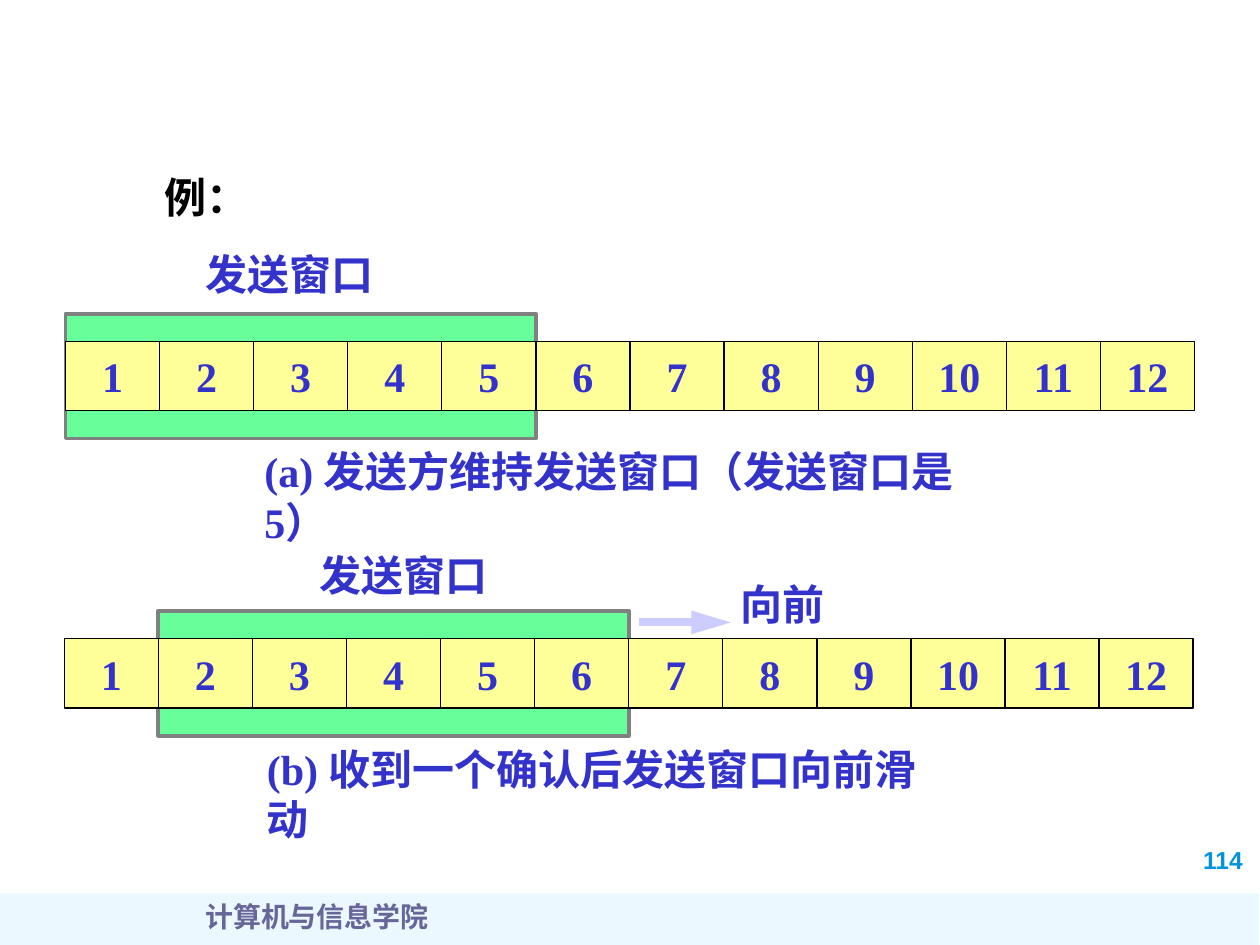
from lxml import etree
from pptx import Presentation
from pptx.dml.color import RGBColor
from pptx.enum.shapes import MSO_CONNECTOR, MSO_SHAPE
from pptx.enum.text import MSO_ANCHOR, MSO_AUTO_SIZE, PP_ALIGN
from pptx.oxml.ns import qn
from pptx.util import Inches, Pt

RECTANGLE = MSO_SHAPE.RECTANGLE
STRAIGHT = MSO_CONNECTOR.STRAIGHT
MIDDLE = MSO_ANCHOR.MIDDLE
TOP = MSO_ANCHOR.TOP
GROW = MSO_AUTO_SIZE.SHAPE_TO_FIT_TEXT
FIXED = MSO_AUTO_SIZE.NONE
LEFT = PP_ALIGN.LEFT
CENTER = PP_ALIGN.CENTER

SERIF = "Times New Roman"
BLUE = "3333CC"
BLACK = "000000"
FRAME_COUNT = 12
FRAME_WIDTH = 8.96 / FRAME_COUNT
FRAME_HEIGHT = 0.55
WINDOW_FRAMES = 5
WINDOW_MARGIN = 0.22


def set_color(color_format, value):
    color_format.rgb = RGBColor.from_string(value)


def add_rectangle(slide, left, top, width, height, fill, line=None, line_width=0.75):
    shape = slide.shapes.add_shape(
        RECTANGLE, Inches(left), Inches(top), Inches(width), Inches(height))
    shape.shadow.inherit = False
    shape.fill.solid()
    set_color(shape.fill.fore_color, fill)
    if line:
        set_color(shape.line.color, line)
        shape.line.width = Pt(line_width)
    else:
        shape.line.fill.background()
    return shape


def add_text(slide, text, left, top, width, height, size=24, name=SERIF,
             color=BLUE, alignment=LEFT, anchor=TOP, auto_size=GROW):
    shape = slide.shapes.add_textbox(
        Inches(left), Inches(top), Inches(width), Inches(height))
    frame_format = {"word_wrap": True, "auto_size": auto_size, "vertical_anchor": anchor}
    for attribute, value in frame_format.items():
        setattr(shape.text_frame, attribute, value)
    paragraph = shape.text_frame.paragraphs[0]
    paragraph.text = text
    paragraph.alignment = alignment
    font = paragraph.runs[0].font
    for attribute, value in {"size": Pt(size), "name": name, "bold": True}.items():
        setattr(font, attribute, value)
    set_color(font.color, color)


def add_line(slide, start, end, color=BLACK, width=0.75):
    connector = slide.shapes.add_connector(
        STRAIGHT, *(Inches(value) for value in (*start, *end)))
    set_color(connector.line.color, color)
    connector.line.width = Pt(width)
    etree.SubElement(connector._element.spPr, qn("a:effectLst"))
    return connector


def add_arrow(slide, start, end, color, width):
    connector = add_line(slide, start, end, color, width)
    outline = connector.line._get_or_add_ln()
    etree.SubElement(outline, qn("a:tailEnd"), type="triangle", w="med", len="lg")


def add_footer(slide):
    bar = add_rectangle(slide, -0.01, 7.09, 10, 0.44, "A7E2FF")
    fill_color = bar._element.spPr.find(qn("a:solidFill"))[0]
    etree.SubElement(fill_color, qn("a:alpha"), val="21000")
    add_text(slide, "114", 9.45, 6.66, 0.59, 0.33, size=14, name="Arial", color="0094DE")
    add_text(slide, "计算机与信息学院", 0.27, 7.09, 4.49, 0.5, size=16,
             color="666699", alignment=CENTER, auto_size=FIXED)


def add_frame_sequence(slide, left, top, window_start):
    add_rectangle(slide, left + window_start * FRAME_WIDTH, top - WINDOW_MARGIN,
                  WINDOW_FRAMES * FRAME_WIDTH, FRAME_HEIGHT + 2 * WINDOW_MARGIN,
                  "66FF99", "808080", 2.25)
    add_rectangle(slide, left, top, FRAME_COUNT * FRAME_WIDTH, FRAME_HEIGHT,
                  "FFFF99", BLACK)
    for index in range(FRAME_COUNT):
        frame_left = left + index * FRAME_WIDTH
        add_text(slide, str(index + 1), frame_left, top, FRAME_WIDTH, FRAME_HEIGHT,
                 alignment=CENTER, anchor=MIDDLE, auto_size=FIXED)
        if index:
            add_line(slide, (frame_left, top), (frame_left, top + FRAME_HEIGHT))


def main():
    presentation = Presentation()
    presentation.slide_width = Inches(10)
    presentation.slide_height = Inches(7.5)
    slide = presentation.slides.add_slide(presentation.slide_layouts[6])

    add_footer(slide)
    add_text(slide, "例：", 1.21, 1.31, 1.77, 0.5, name="Arial", color=BLACK)

    add_frame_sequence(slide, 0.52, 2.71, 0)
    add_text(slide, "发送窗口", 1.53, 1.92, 1.53, 0.5)
    add_text(slide, "(a) 发送方维持发送窗口（发送窗口是 5）", 2, 3.49, 6.24, 0.5)

    add_frame_sequence(slide, 0.51, 5.07, 1)
    add_text(slide, "发送窗口", 2.44, 4.31, 1.53, 0.5)
    add_arrow(slide, (5.07, 4.94), (5.8, 4.94), "CCCCFF", 4.5)
    add_text(slide, "向前", 5.78, 4.54, 0.87, 0.5)
    add_text(slide, "(b) 收到一个确认后发送窗口向前滑动", 2.02, 5.85, 5.67, 0.5)

    presentation.save("out.pptx")


if __name__ == "__main__":
    main()
